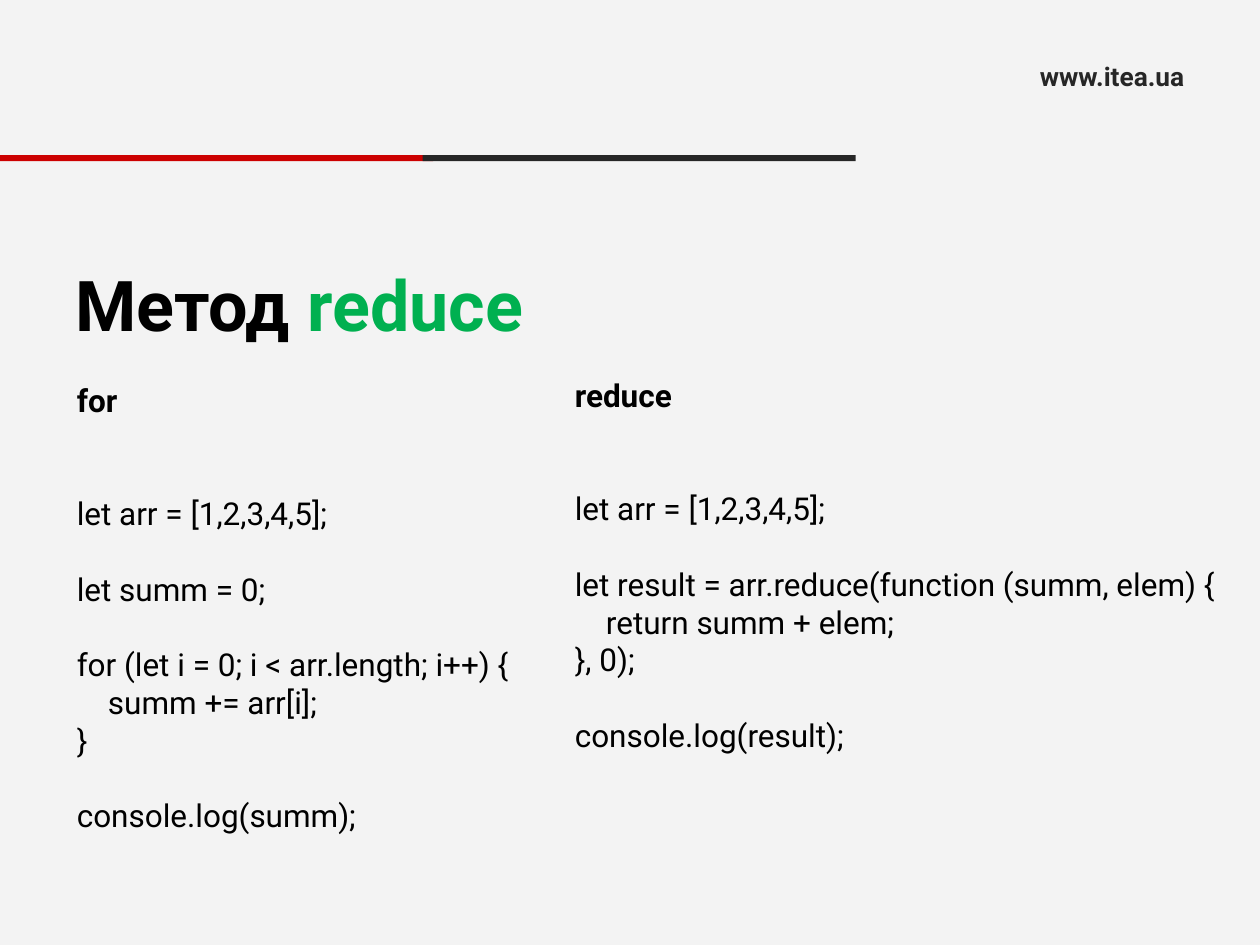
from pptx import Presentation
from pptx.dml.color import RGBColor
from pptx.enum import shapes, text
from pptx.util import Pt

FONT = "Roboto"
BACKGROUND = RGBColor(0xF3, 0xF3, 0xF3)
BLACK = RGBColor(0, 0, 0)
DARK = RGBColor(0x26, 0x26, 0x26)
RED = RGBColor(0xCC, 0, 0)
GREEN = RGBColor(0, 0xB0, 0x50)
LINE = 21.6  # height of one line of code

FOR_CODE = [
    ["let arr = [1,2,3,4,5];"],
    ["let summ = 0;"],
    ["for (let i = 0; i < arr.length; i++) {", "    summ += arr[i];", "}"],
    ["console.log(summ);"],
]
REDUCE_CODE = [
    ["let arr = [1,2,3,4,5];"],
    ["let result = arr.reduce(function (summ, elem) {",
     "    return summ + elem;", "}, 0);"],
    ["console.log(result);"],
]


def add_run(p, content, size=18, color=BLACK, bold=False):
    r = p.add_run()
    r.text = content
    r.font.name = FONT
    r.font.size = Pt(size)
    r.font.bold = bold
    r.font.color.rgb = color


def add_box(s, left, top, width, height, color=None,
            kind=shapes.MSO_SHAPE.RECTANGLE):
    """Shape without outline; unfilled when no color is given."""
    sp = s.shapes.add_shape(kind, Pt(left), Pt(top), Pt(width), Pt(height))
    sp.shadow.inherit = False
    sp.line.fill.background()
    if color is None:
        sp.fill.background()
    else:
        sp.fill.solid()
        sp.fill.fore_color.rgb = color
    return sp


def add_backdrop(s):
    """Full-slide panel, placed behind the title."""
    sp = add_box(s, 0, -0.5, 720.5, 540.5, BACKGROUND)
    s.shapes.title.element.addprevious(sp.element)


def add_title(s):
    sp = s.shapes.title
    sp.left, sp.top, sp.width, sp.height = Pt(36), Pt(144.3), Pt(648), Pt(58.4)
    tf = sp.text_frame
    tf.auto_size = text.MSO_AUTO_SIZE.NONE
    tf.vertical_anchor = text.MSO_ANCHOR.MIDDLE
    p = tf.paragraphs[0]
    p.alignment = text.PP_ALIGN.LEFT
    add_run(p, "Метод ", size=40, bold=True)
    add_run(p, "reduce", size=40, bold=True, color=GREEN)


def add_address(s):
    sp = add_box(s, 562.5, 32, 146, 23, kind=shapes.MSO_SHAPE.ROUNDED_RECTANGLE)
    sp.adjustments[0] = 0
    tf = sp.text_frame
    tf.vertical_anchor = text.MSO_ANCHOR.MIDDLE
    p = tf.paragraphs[0]
    p.alignment = text.PP_ALIGN.CENTER
    add_run(p, "www.itea.ua", size=15, color=DARK, bold=True)


def add_code(s, heading, blocks, left, top, width):
    """Bold heading, then blocks of code lines set apart by spacing."""
    sp = s.shapes.add_textbox(Pt(left), Pt(top), Pt(width), Pt(287))
    tf = sp.text_frame
    tf.word_wrap = True
    add_run(tf.paragraphs[0], heading, bold=True)
    for b, block in enumerate(blocks):
        for i, line in enumerate(block):
            p = tf.add_paragraph()
            if i == 0:
                p.space_before = Pt(LINE if b else 2 * LINE)
            add_run(p, line)


def main():
    prs = Presentation()
    prs.slide_width, prs.slide_height = Pt(720), Pt(540)
    s = prs.slides.add_slide(prs.slide_layouts[5])

    add_backdrop(s)
    add_title(s)
    add_address(s)
    for left, color in ((0, RED), (241.5, DARK)):
        add_box(s, left, 88.6, 247.5, 3.5, color)
    add_code(s, "for", FOR_CODE, 36.8, 214, 284)
    add_code(s, "reduce", REDUCE_CODE, 321.4, 211.2, 399)
    prs.save("out.pptx")


if __name__ == "__main__":
    main()
